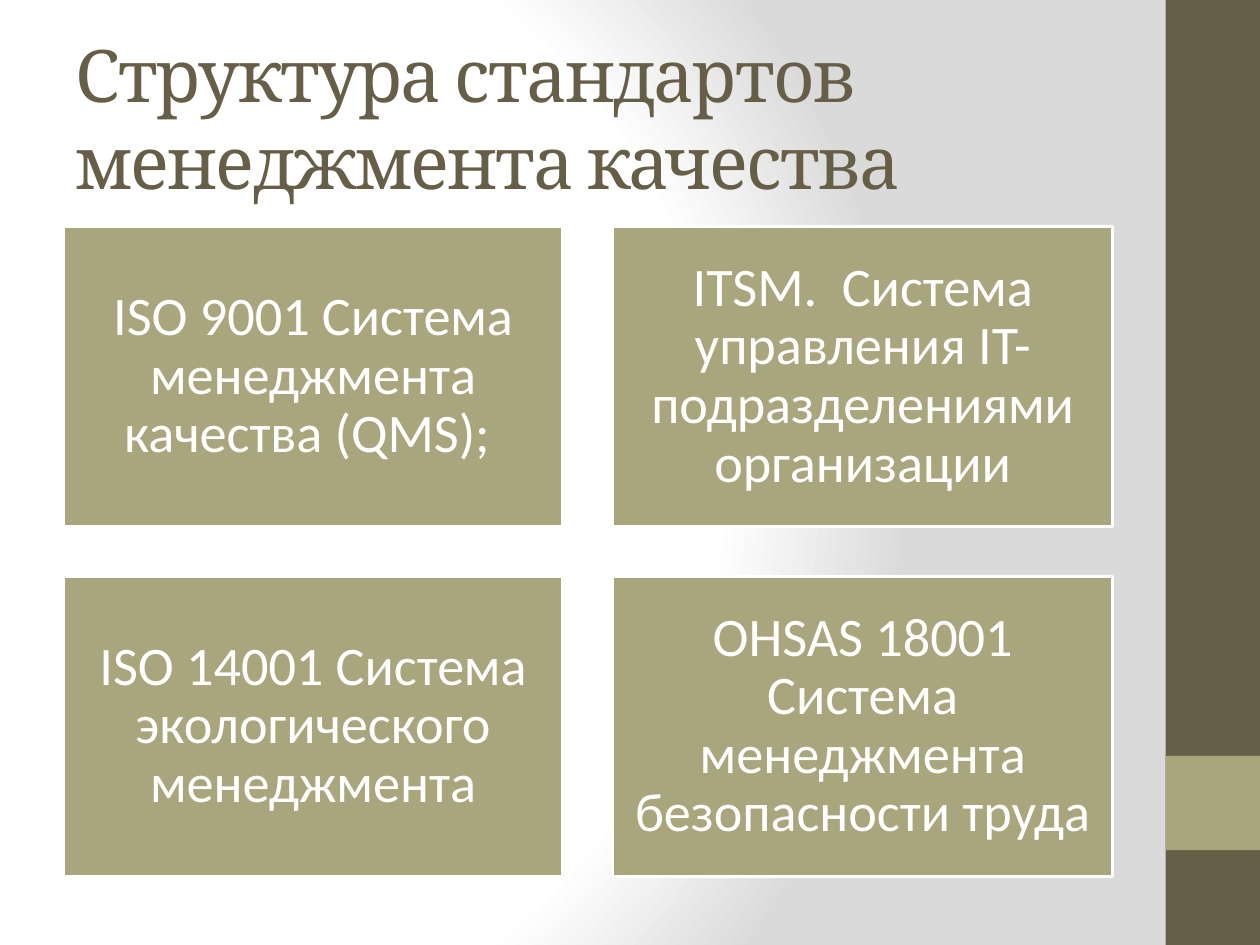
"""Build the slide on the structure of quality management standards."""
from lxml import etree
from pptx import Presentation
from pptx import util as u
from pptx.dml.color import RGBColor
from pptx.enum import shapes, text
from pptx.oxml import ns

WHITE = RGBColor(0xFF, 0xFF, 0xFF)
GREY = RGBColor(0xDA, 0xDA, 0xDA)
BROWN = RGBColor(0x67, 0x5E, 0x47)
OLIVE = RGBColor(0xA9, 0xA5, 0x7C)

STANDARDS = [
    "ISO 9001 Система менеджмента качества (QMS); ",
    "ITSM.  Система управления IT-подразделениями организации",
    "ISO 14001 Система экологического менеджмента",
    "OHSAS 18001 Система менеджмента безопасности труда",
]
CARD_FRAME = {
    "word_wrap": True,
    "vertical_anchor": text.MSO_ANCHOR.MIDDLE,
    "margin_left": u.Cm(0.33),
    "margin_right": u.Cm(0.33),
    "margin_top": u.Cm(0.33),
    "margin_bottom": u.Cm(0.33),
}
TITLE_FRAME = {"word_wrap": True, "vertical_anchor": text.MSO_ANCHOR.MIDDLE}


def add_block(slide, left, top, width, height, color):
    block = slide.shapes.add_shape(
        shapes.MSO_SHAPE.RECTANGLE, u.Cm(left), u.Cm(top), u.Cm(width), u.Cm(height))
    block.shadow.inherit = False
    block.fill.solid()
    block.fill.fore_color.rgb = color
    block.line.fill.background()
    return block


def write(frame, words, frame_format, font_name, size, color):
    for name, value in frame_format.items():
        setattr(frame, name, value)
    paragraph = frame.paragraphs[0]
    run = paragraph.add_run()
    run.text = words
    for name, value in {"name": font_name, "size": u.Pt(size)}.items():
        setattr(run.font, name, value)
    run.font.color.rgb = color
    return paragraph


deck = Presentation()
deck.slide_width, deck.slide_height = u.Cm(25.4), u.Cm(19.05)
slide = deck.slides.add_slide(deck.slide_layouts[6])

slide.background.fill.gradient()
gradient = slide.element.find(".//" + ns.qn("a:gradFill"))
for part in list(gradient):
    gradient.remove(part)
stops = etree.SubElement(gradient, ns.qn("a:gsLst"))
for percent, color in [(0, WHITE), (75, WHITE), (100, GREY)]:
    stop = etree.SubElement(stops, ns.qn("a:gs"), pos=str(percent * 1000))
    etree.SubElement(stop, ns.qn("a:srgbClr"), val=str(color))
circle = etree.SubElement(gradient, ns.qn("a:path"), {"path": "circle"})
etree.SubElement(circle, ns.qn("a:fillToRect"), l="20000", t="50000", r="100000", b="50000")

add_block(slide, 23.5, 0, 1.9, 19.05, BROWN)
add_block(slide, 23.5, 15.24, 1.9, 1.9, OLIVE)

title = slide.shapes.add_textbox(u.Cm(1.27), u.Cm(0.76), u.Cm(21.16), u.Cm(3.18))
heading = write(title.text_frame, "Структура стандартов менеджмента качества",
                TITLE_FRAME, "Cambria", 41.4, BROWN)
heading.runs[0].font._element.set("spc", "-100")

card_width, card_height, gap = 10.08, 6.05, 1.0
for index, standard in enumerate(STANDARDS):
    row, column = divmod(index, 2)
    card = add_block(slide, 1.27 + column * (card_width + gap),
                     4.57 + row * (card_height + gap), card_width, card_height, OLIVE)
    card.line.color.rgb = WHITE
    card.line.width = u.Pt(2)
    label = write(card.text_frame, standard, CARD_FRAME, "Calibri", 31, WHITE)
    label.alignment = text.PP_ALIGN.CENTER
    label.line_spacing = 0.9

deck.save("out.pptx")
